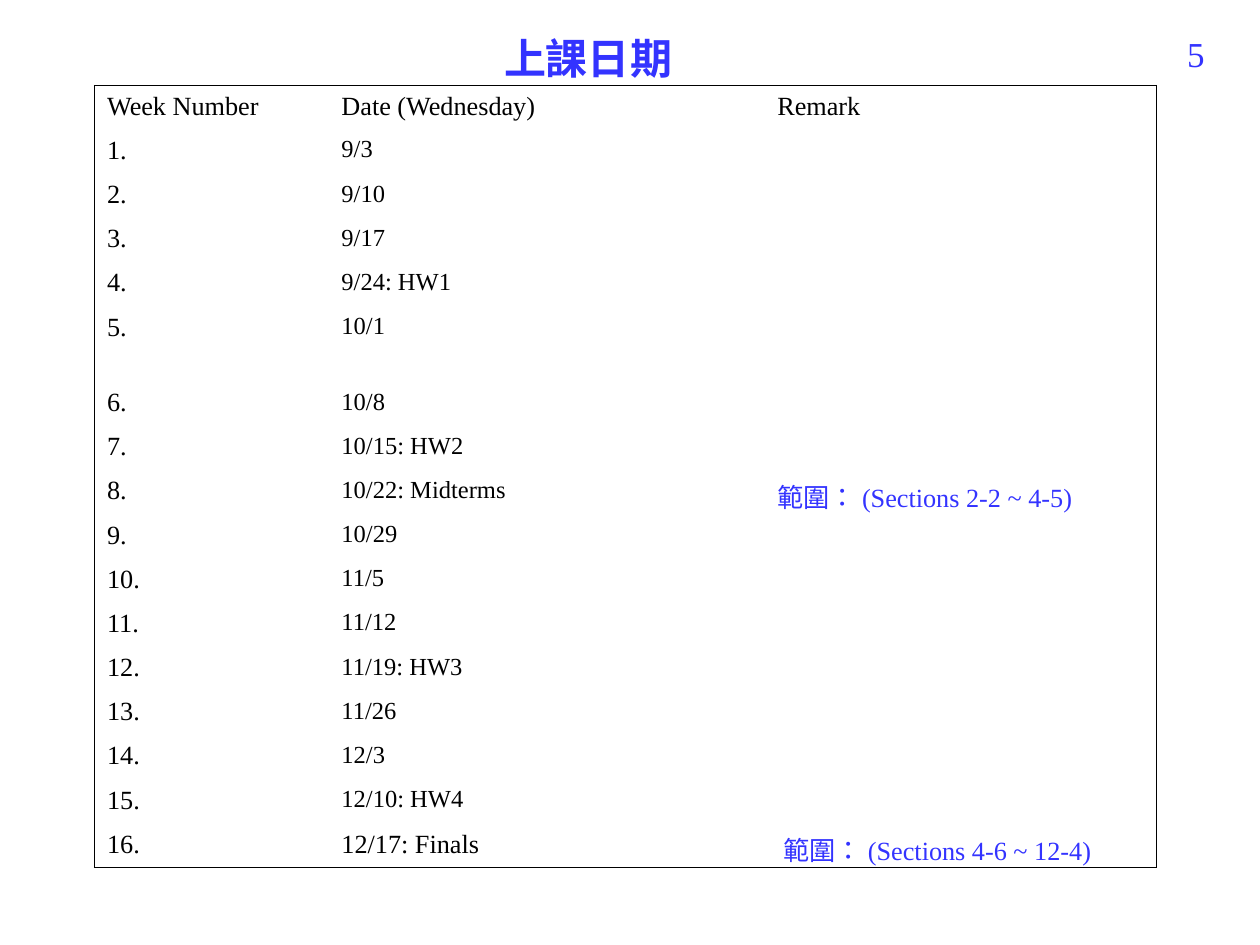
from pptx import Presentation
from pptx.dml.color import RGBColor
from pptx.enum.text import MSO_ANCHOR as Anchor, MSO_AUTO_SIZE as AutoSize, PP_ALIGN as Align
from pptx.oxml.ns import qn
from pptx.util import Inches, Pt
from lxml.etree import SubElement

SERIF, BLUE, BLACK = "Times New Roman", "3333FF", "000000"
HEADINGS = ("Week Number", "Date (Wednesday)", "Remark")
DATES = ("9/3", "9/10", "9/17", "9/24: HW1", "10/1", "10/8", "10/15: HW2",
         "10/22: Midterms", "10/29", "11/5", "11/12", "11/19: HW3", "11/26",
         "12/3", "12/10: HW4", "12/17: Finals")
REMARKS = {8: "範圍： (Sections 2-2 ~ 4-5)", 16: " 範圍： (Sections 4-6 ~ 12-4)"}
COLUMN_WIDTHS = (1.86, 3.46, 3.11)
ROW_HEIGHT = 0.35
BODY_SIZE, DATE_SIZE = 15, 14
TALL_WEEK, TALL_SIZE = 5, 30


def set_values(target, **values):
    for name, value in values.items():
        setattr(target, name, value)


def place(shape, box):
    lengths = map(Inches, box)
    set_values(shape, **dict(zip(("left", "top", "width", "height"), lengths)))


def write(paragraph, text, size, color, font=SERIF, bold=False):
    run = paragraph.add_run()
    run.text = text
    set_values(run.font, name=font, size=Pt(size), bold=bold)
    run.font.color.rgb = RGBColor.from_string(color)
    run._r.get_or_add_rPr().set("lang", "zh-TW")


def add_title(slide, box, text):
    title = slide.shapes.title
    place(title, box)
    frame = title.text_frame
    set_values(frame, word_wrap=False, auto_size=AutoSize.NONE,
               vertical_anchor=Anchor.MIDDLE, margin_right=0)
    frame.paragraphs[0].alignment = Align.LEFT
    write(frame.paragraphs[0], text, 24, BLUE, "Arial", True)


def add_page_number(slide, box, number):
    frame = slide.shapes.add_textbox(*map(Inches, box)).text_frame
    frame.word_wrap = True
    frame.paragraphs[0].alignment = Align.RIGHT
    write(frame.paragraphs[0], number, 20, BLUE)


def set_borders(cell, visible):
    """Draw a 1 pt line on the sides named in visible, and none on the others."""
    properties = cell._tc.get_or_add_tcPr()
    for side in "LRTB":
        width = Pt(1) if side in visible else 0
        line = SubElement(properties, qn(f"a:ln{side}"), w=str(width))
        if width:
            fill = SubElement(line, qn("a:solidFill"))
            SubElement(fill, qn("a:srgbClr"), val=BLACK)
        else:
            SubElement(line, qn("a:noFill"))


def set_empty_size(paragraph, size):
    """An empty cell's text size decides the least height of its row."""
    properties = SubElement(paragraph._p, qn("a:endParaRPr"), sz=str(size * 100))
    SubElement(properties, qn("a:latin"), typeface=SERIF)


def add_space_before(paragraph, percent):
    spacing = SubElement(paragraph._p.get_or_add_pPr(), qn("a:spcBef"))
    SubElement(spacing, qn("a:spcPct"), val=str(percent * 1000))


def add_schedule(slide, left, top):
    rows = [HEADINGS] + [(f"{week}.", date, REMARKS.get(week, ""))
                         for week, date in enumerate(DATES, 1)]
    last_row, last_column = len(rows) - 1, len(HEADINGS) - 1
    box = (left, top, sum(COLUMN_WIDTHS), ROW_HEIGHT * len(rows))
    table = slide.shapes.add_table(len(rows), len(HEADINGS), *map(Inches, box)).table
    set_values(table, first_row=False, horz_banding=False)
    for column, width in zip(table.columns, COLUMN_WIDTHS):
        column.width = Inches(width)
    for week, texts in enumerate(rows):
        table.rows[week].height = Inches(ROW_HEIGHT)
        for index, text in enumerate(texts):
            cell = table.cell(week, index)
            edges = {"L": index == 0, "R": index == last_column,
                     "T": week == 0, "B": week == last_row}
            set_borders(cell, [side for side, outer in edges.items() if outer])
            cell.fill.background()
            paragraph = cell.text_frame.paragraphs[0]
            if not text:
                set_empty_size(paragraph, TALL_SIZE if week == TALL_WEEK else BODY_SIZE)
                continue
            is_date = index == 1 and 0 < week < last_row
            if is_date:
                add_space_before(paragraph, 20)
            write(paragraph, text, DATE_SIZE if is_date else BODY_SIZE,
                  BLUE if index == last_column and week else BLACK)


def main():
    presentation = Presentation()
    set_values(presentation, slide_width=Inches(10), slide_height=Inches(7.5))
    slide = presentation.slides.add_slide(presentation.slide_layouts[5])
    add_page_number(slide, (8.7, 0.21, 0.96, 0.52), "5")
    add_title(slide, (3.9, 0.21, 1.53, 0.5), "上課日期")
    add_schedule(slide, 0.75, 0.68)
    presentation.save("out.pptx")


if __name__ == "__main__":
    main()
